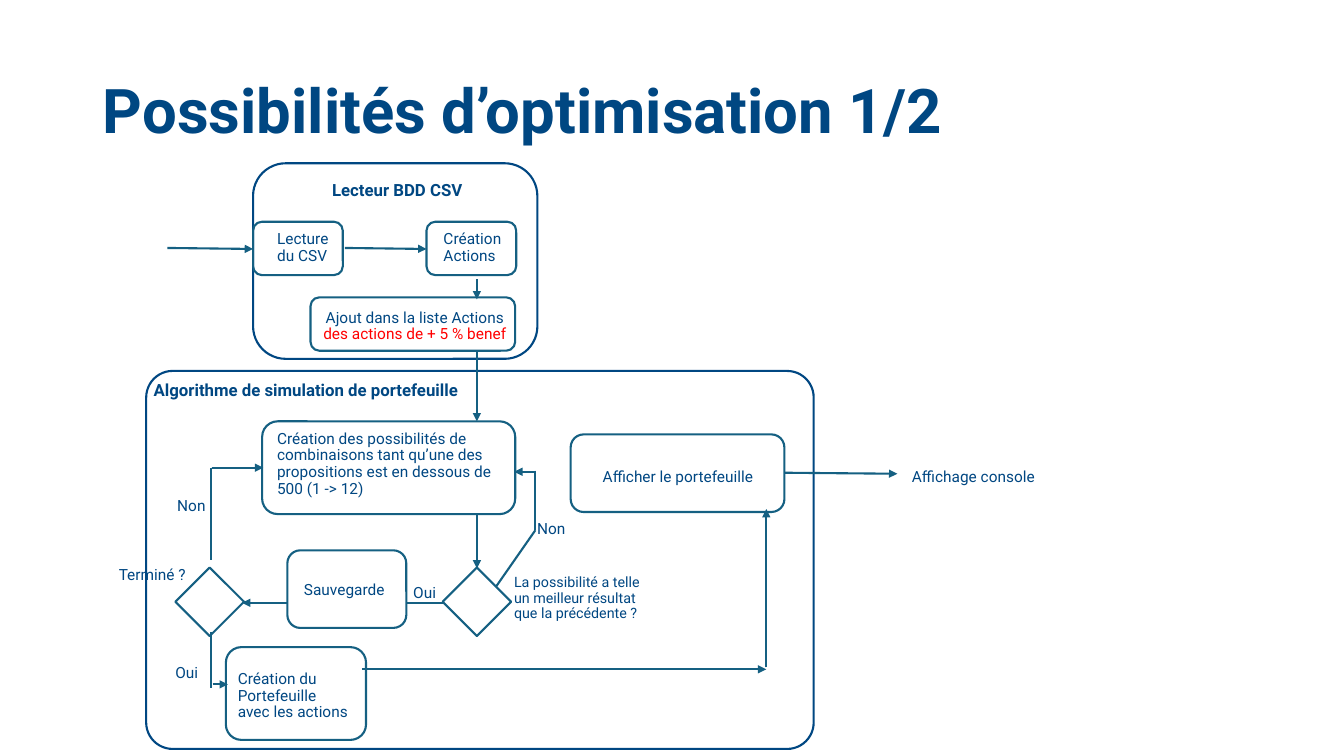
from dataclasses import dataclass

from lxml import etree
from pptx import Presentation
from pptx.dml.color import RGBColor
from pptx.enum.shapes import MSO_CONNECTOR, MSO_SHAPE
from pptx.enum.text import MSO_ANCHOR, PP_ALIGN
from pptx.oxml.ns import qn
from pptx.util import Pt

ROUNDED = MSO_SHAPE.ROUNDED_RECTANGLE
DIAMOND = MSO_SHAPE.DIAMOND
STRAIGHT = MSO_CONNECTOR.STRAIGHT
MIDDLE = MSO_ANCHOR.MIDDLE
LEFT = PP_ALIGN.LEFT
CENTER = PP_ALIGN.CENTER

EMU_PER_PX = 9144  # 100 px to the inch
TITLE_ONLY = 5


@dataclass(frozen=True)
class Theme:
    font: str = "Roboto"
    navy: str = "004782"
    teal: str = "156082"
    red: str = "FF0000"
    white: str = "FFFFFF"
    title_size: float = 44
    heading_size: float = 12
    label_size: float = 11
    question_size: float = 10.2
    line_width: float = 1.5
    line_spacing: float = 0.9


@dataclass(frozen=True)
class Box:
    left: int
    top: int
    width: int
    height: int

    def inner(self, left, top, width, height):
        return Box(self.left + left, self.top + top, width, height)

    def emu(self):
        return [px(v) for v in (self.left, self.top, self.width, self.height)]


THEME = Theme()


def px(value):
    return value * EMU_PER_PX


def colour(code):
    return RGBColor.from_string(code)


# Building blocks
def write(frame, paragraphs, size, bold=False, align=LEFT):
    """Each paragraph is a list of (text, colour) spans."""
    frame.word_wrap = True
    frame.vertical_anchor = MIDDLE
    for index, spans in enumerate(paragraphs):
        para = frame.add_paragraph() if index else frame.paragraphs[0]
        para.alignment = align
        para.line_spacing = THEME.line_spacing
        para.space_before = Pt(0)
        for text, code in spans:
            span = para.add_run()
            span.text = text
            span.font.name = THEME.font
            span.font.size = Pt(size)
            span.font.bold = bold
            span.font.color.rgb = colour(code)


def add_label(page, box, lines, align=LEFT, size=THEME.label_size, bold=False):
    frame = page.shapes.add_textbox(*box.emu()).text_frame
    write(frame, [[(line, THEME.navy)] for line in lines], size, bold, align)


def add_heading(page, box, text):
    add_label(page, box, [text], CENTER, THEME.heading_size, bold=True)


def add_outline(page, box, kind=ROUNDED, line=THEME.teal, fill=None):
    shape = page.shapes.add_shape(kind, *box.emu())
    shape.shadow.inherit = False
    if fill:
        shape.fill.solid()
        shape.fill.fore_color.rgb = colour(fill)
    else:
        shape.fill.background()
    shape.line.color.rgb = colour(line)
    shape.line.width = Pt(THEME.line_width)
    return shape


def add_line(page, box, points, arrow=True):
    x1, y1, x2, y2 = points
    line = page.shapes.add_connector(
        STRAIGHT, px(box.left + x1), px(box.top + y1), px(box.left + x2), px(box.top + y2))
    line.line.color.rgb = colour(THEME.teal)
    line.line.width = Pt(THEME.line_width)
    if arrow:
        etree.SubElement(line.line._get_or_add_ln(), qn("a:tailEnd"), type="triangle")
    etree.SubElement(line._element.spPr, qn("a:effectLst"))


# Regions
def build_title(page, box):
    title = page.shapes.title
    title.left, title.top, title.width, title.height = box.emu()
    spans = [("Possibilités d’optimisation 1/2", THEME.navy)]
    write(title.text_frame, [spans], THEME.title_size, bold=True)


def build_reader(page, box):
    add_outline(page, box, line=THEME.navy)
    add_heading(page, box.inner(2, -2, box.width, 60), "Lecteur BDD CSV")

    # Steps
    for left, top, width in ((0, 58, 89), (172, 58, 89), (57, 133, 203)):
        add_outline(page, box.inner(left, top, width, 53))
    for left, text in ((14, "Lecture du CSV"), (179, "Création Actions")):
        add_label(page, box.inner(left, 54, 85, 60), [text])
    filter_frame = page.shapes.add_textbox(*box.inner(56, 132, 209, 60).emu()).text_frame
    filter_spans = [("Ajout dans la liste Actions ", THEME.navy),
                    ("des actions de + 5 % benef", THEME.red)]
    write(filter_frame, [filter_spans], THEME.label_size, align=CENTER)

    # Flow
    for points in ((-85, 84, 0, 85), (91, 84, 172, 85), (222, 115, 222, 135)):
        add_line(page, box, points)


def build_simulation(page, box):
    add_outline(page, box, line=THEME.navy).adjustments[0] = 0.07
    add_heading(page, box.inner(-10, -10, 337, 60), "Algorithme de simulation de portefeuille")

    # Flow: arrows, then the plain parts of the loops
    arrows = (
        (328, -19, 328, 50), (328, 142, 328, 196), (294, 230, 95, 230),
        (65, 96, 116, 96), (66, 311, 81, 311), (214, 296, 615, 296),
        (615, 294, 615, 137), (386, 100, 365, 100),
    )
    plain_lines = (
        (64, 96, 64, 188), (64, 259, 64, 315),
        (386, 99, 386, 158), (386, 158, 347, 214),
    )
    for points in arrows:
        add_line(page, box, points)
    for points in plain_lines:
        add_line(page, box, points, arrow=False)

    # Steps and decisions
    for place in ((115, 50, 251, 92), (79, 274, 139, 92), (421, 63, 212, 77)):
        add_outline(page, box.inner(*place))
    add_outline(page, box.inner(140, 178, 118, 77), fill=THEME.white)
    for left in (29, 294):
        add_outline(page, box.inner(left, 195, 68, 68), DIAMOND)

    # Step texts
    add_label(page, box.inner(120, 48, 246, 89), [
        "Création des possibilités de combinaisons tant qu’une des "
        "propositions est en dessous de 500 (1 -> 12)"])
    add_label(page, box.inner(81, 278, 158, 89),
              ["Création du", "Portefeuille", "avec les actions"])
    add_label(page, box.inner(428, 76, 199, 60), ["Afficher le portefeuille"], CENTER)
    add_label(page, box.inner(97, 188, 199, 60), ["Sauvegarde"], CENTER)

    # Questions and answers
    add_label(page, box.inner(355, 196, 154, 60),
              ["La possibilité a telle un meilleur résultat que la précédente ?"],
              size=THEME.question_size)
    add_label(page, box.inner(-37, 173, 154, 60), ["Terminé ?"])
    answers = ((19, 270, "Oui"), (255, 191, "Oui"), (378, 127, "Non"), (21, 104, "Non"))
    for left, top, text in answers:
        add_label(page, box.inner(left, top, 50, 60), [text])


def build_output(page, box):
    add_line(page, box, (0, 25, 112, 26))
    add_label(page, box.inner(88, 0, 199, box.height), ["Affichage console"], CENTER)


def main():
    deck = Presentation()
    deck.slide_width, deck.slide_height = px(1333), px(750)
    page = deck.slides.add_slide(deck.slide_layouts[TITLE_ONLY])
    build_title(page, Box(92, 40, 1150, 145))
    build_reader(page, Box(251, 162, 282, 194))
    build_simulation(page, Box(145, 368, 662, 375))
    build_output(page, Box(778, 444, 287, 60))
    deck.save("out.pptx")


if __name__ == "__main__":
    main()
